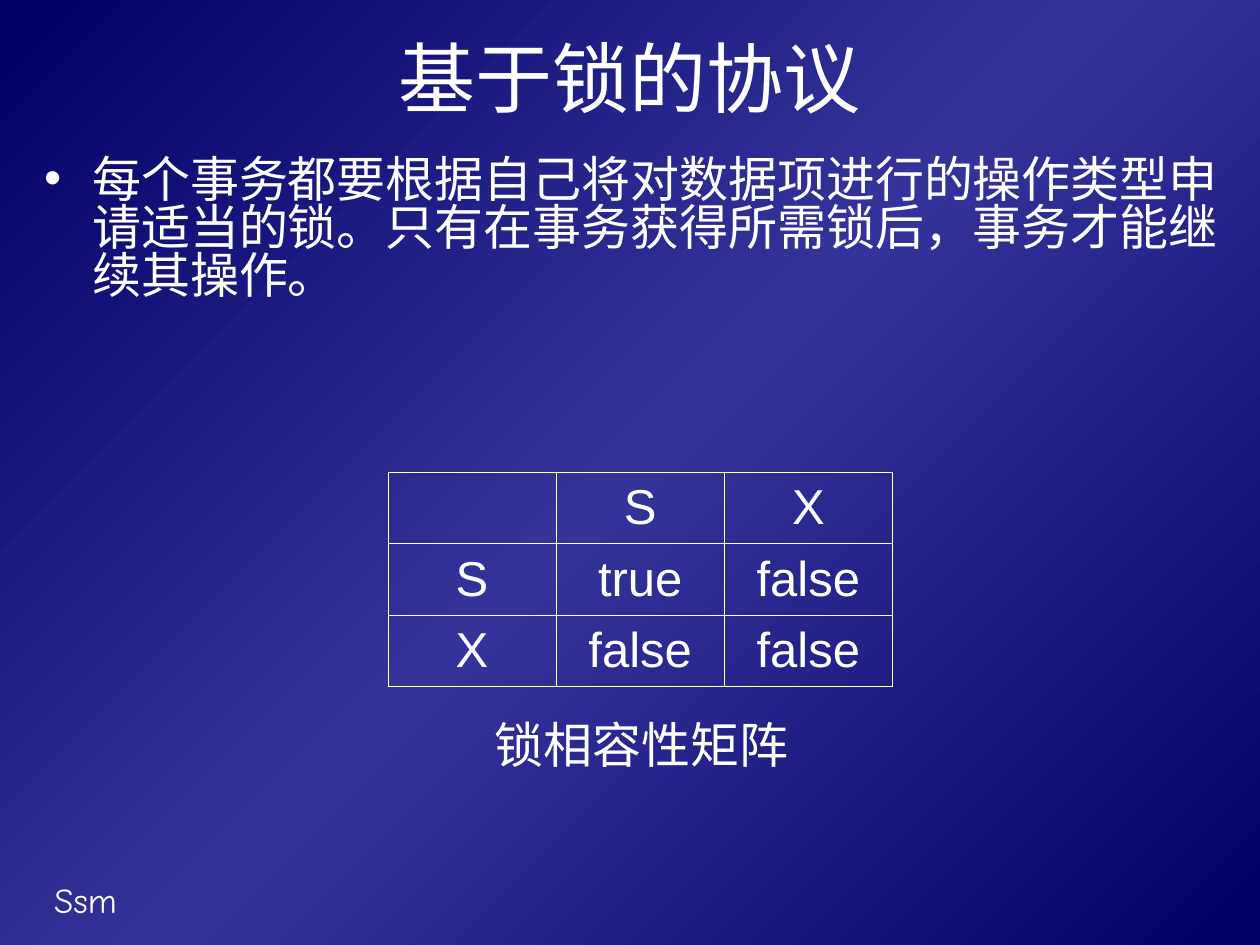
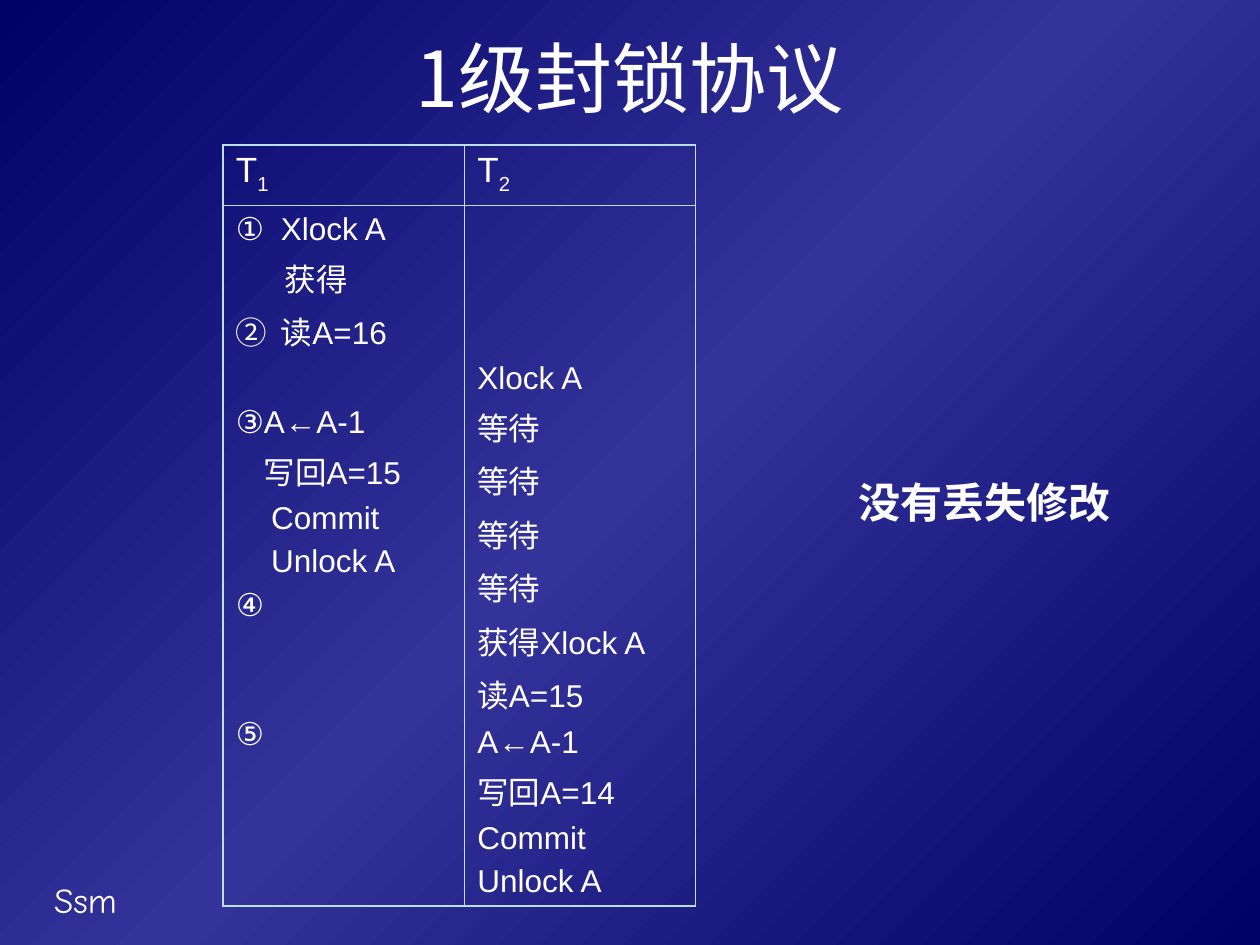
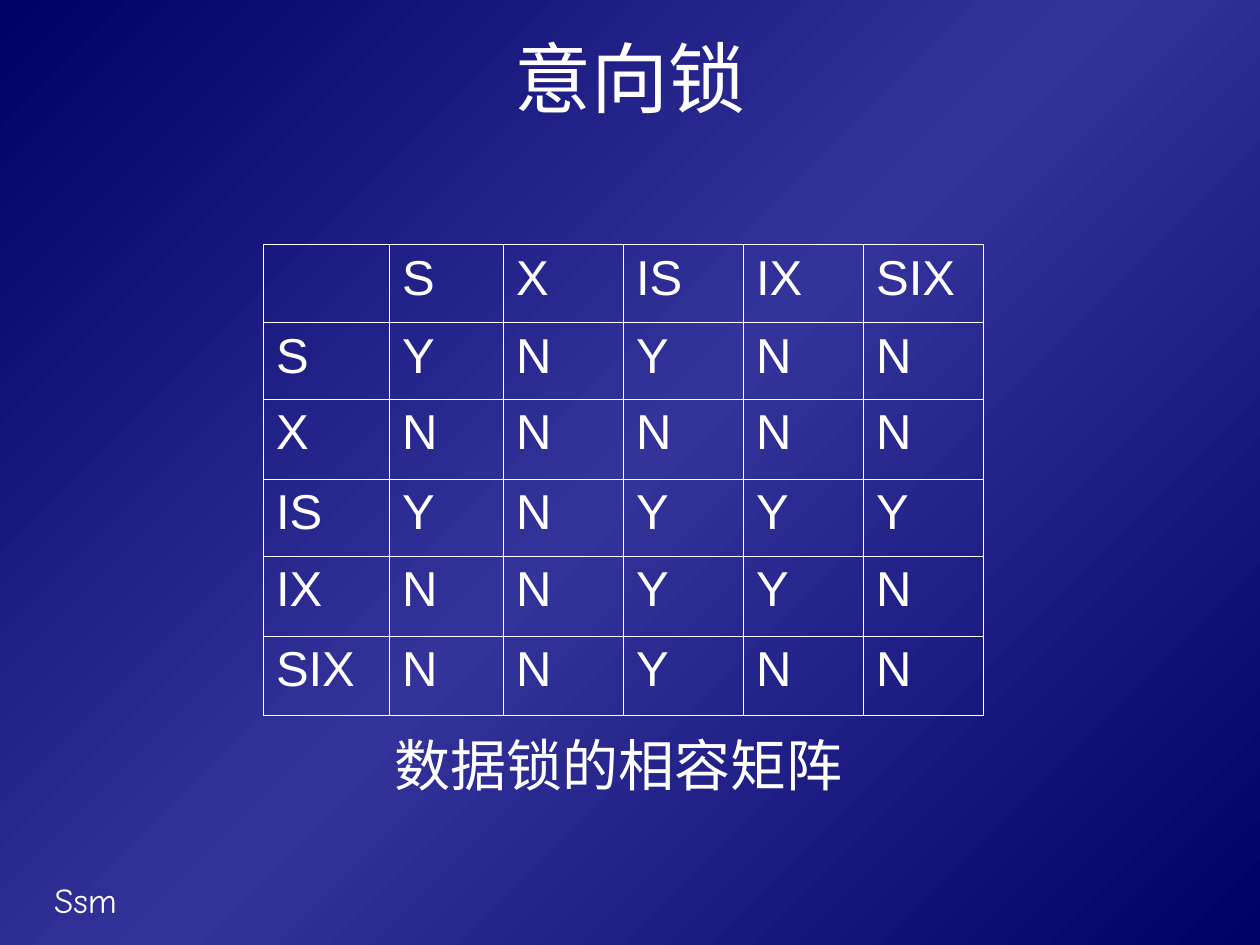
import copy

import pptx
import pptx.dml.color
import pptx.enum.text
import pptx.oxml
import pptx.oxml.ns
import pptx.util

Cm, Pt = pptx.util.Cm, pptx.util.Pt
qn = pptx.oxml.ns.qn
ALIGN = pptx.enum.text.PP_ALIGN
ANCHOR = pptx.enum.text.MSO_ANCHOR

COLORS = {"edge": "000066", "glow": "333399", "text": "FFFFFF", "rule": "BBE0E3"}
CJK = "Noto Sans CJK SC"


def rgb(name):
    return pptx.dml.color.RGBColor.from_string(COLORS[name])


def sub(parent, tag, **attrs):
    el = parent.makeelement(qn(tag), attrs)
    parent.append(el)
    return el


# Text helpers
def set_font(p, size, name="Arial", bold=False):
    p.font.size, p.font.name, p.font.bold = Pt(size), name, bold
    p.font.color.rgb = rgb("text")
    sub(p.font._element, "a:ea", typeface=CJK)


def set_indent(p, left, first=0):
    pPr = p._p.get_or_add_pPr()
    pPr.set("marL", str(Cm(left)))
    pPr.set("indent", str(Cm(first)))


def add_text(s, box, text, size, font, align=ALIGN.LEFT, anchor=ANCHOR.TOP,
             wrap=True, bold=False, top_inset=0.13, bullet=False):
    tf = s.shapes.add_textbox(*map(Cm, box)).text_frame
    tf.word_wrap, tf.vertical_anchor = wrap, anchor
    tf.margin_top = Cm(top_inset)
    p = tf.paragraphs[0]
    p.add_run().text = text
    p.alignment = align
    if bullet:
        set_indent(p, 0.97, -0.97)
        pPr = p._p.get_or_add_pPr()
        sub(sub(pPr, "a:buClr"), "a:srgbClr", val=COLORS["text"])
        sub(pPr, "a:buFont", typeface="Arial")
        sub(pPr, "a:buChar", char="•")
    set_font(p, size, font, bold)
    return p


# Table helpers
def set_borders(cell, color, widths):
    tcPr = cell._tc.get_or_add_tcPr()
    for i, (side, width) in enumerate(zip("LRTB", widths)):
        ln = tcPr.makeelement(qn("a:ln" + side), {"w": str(Pt(width))})
        sub(sub(ln, "a:solidFill"), "a:srgbClr", val=COLORS[color])
        tcPr.insert(i, ln)


def add_grid(s, left, top, col_widths, row_heights, color, outer=0.45, inner=0.45):
    n_rows, n_cols = len(row_heights), len(col_widths)
    table = s.shapes.add_table(n_rows, n_cols, Cm(left), Cm(top),
                               Cm(sum(col_widths)), Cm(sum(row_heights))).table
    table.first_row = table.horz_banding = False
    for col, width in zip(table.columns, col_widths):
        col.width = Cm(width)
    for row, height in zip(table.rows, row_heights):
        row.height = Cm(height)
    for i in range(n_rows):
        for j in range(n_cols):
            cell = table.cell(i, j)
            cell.fill.background()
            on_edge = (j == 0, j == n_cols - 1, i == 0, i == n_rows - 1)
            set_borders(cell, color, [outer if e else inner for e in on_edge])
    return table


# Shared look
def set_background(prs):
    fill = prs.slide_master.background.fill
    fill.gradient()
    fill.gradient_angle = 315
    stops = prs.slide_master.element.find(".//" + qn("a:gsLst"))
    stops.insert(1, copy.deepcopy(stops[0]))
    for stop, position, name in zip(fill.gradient_stops, (0, 0.5, 1), ("edge", "glow", "edge")):
        stop.position = position
        stop.color.rgb = rgb(name)


def new_slide(prs, title):
    s = prs.slides.add_slide(prs.slide_layouts[6])
    add_text(s, (0.84, 17.58, 5.28, 1.12), "Ssm", 20, "Comic Neue")
    add_text(s, (1.27, 0.43, 22.86, 2.21), title, 44, CJK, ALIGN.CENTER, ANCHOR.MIDDLE)
    return s


# Compatibility matrix with its caption below
def lock_matrix(s, left, top, col_widths, row_heights, rows, align, anchor):
    table = add_grid(s, left, top, col_widths, row_heights, "text")
    for i, row in enumerate(rows):
        for j, text in enumerate(row):
            cell = table.cell(i, j)
            cell.vertical_anchor = anchor
            p = cell.text_frame.paragraphs[0]
            if text:
                p.add_run().text = text
            p.alignment = align
            set_font(p, 28)


def matrix_caption(s, box, offset, size, font, text):
    left, top, width, height = box
    dx, dy = offset
    add_text(s, (left + dx, top + dy, width, height), text, size, font,
             wrap=False, top_inset=0)


# Schedule of two transactions: steps are (text, left indent, first-line indent, space before)
def fill_steps(cell, steps):
    tf = cell.text_frame
    for i, (text, left, first, before) in enumerate(steps):
        p = tf.paragraphs[0] if i == 0 else tf.add_paragraph()
        p.add_run().text = text
        set_indent(p, left, first)
        if i:
            p.space_before = Pt(before)
        set_font(p, 18)


def schedule(s, left, top, steps_1, steps_2):
    table = add_grid(s, left, top, (4.87, 4.65), (1.21, 14.13), "rule", outer=1.08)
    for j in range(2):
        p = table.cell(0, j).text_frame.paragraphs[0]
        p.add_run().text = "T"
        r = p.add_run()
        r.text = str(j + 1)
        r._r.get_or_add_rPr().set("baseline", "-25000")
        set_font(p, 20)
    fill_steps(table.cell(1, 0), steps_1)
    table.cell(1, 1).margin_top = Cm(3.13)
    fill_steps(table.cell(1, 1), steps_2)


def main():
    prs = pptx.Presentation()
    prs.slide_width, prs.slide_height = Cm(25.4), Cm(19.05)
    set_background(prs)

    # Lock-based protocol
    s = new_slide(prs, "基于锁的协议")
    p = add_text(s, (0.64, 2.97, 24.33, 14.6),
                 "每个事务都要根据自己将对数据项进行的操作类型申请适当的锁。"
                 "只有在事务获得所需锁后，事务才能继续其操作。",
                 28, CJK, top_inset=0.23, bullet=True)
    p.line_spacing = 0.82
    left, top = 7.82, 9.52
    lock_matrix(s, left, top, [3.39] * 3, [1.44] * 3,
                [("", "S", "X"), ("S", "true", "false"), ("X", "false", "false")],
                ALIGN.CENTER, ANCHOR.MIDDLE)
    matrix_caption(s, (left, top, 8.69, 1.45), (1.9, 4.88), 28, "Arial", "锁相容性矩阵")

    # Level 1 protocol
    s = new_slide(prs, "1级封锁协议")
    gap = 4.5
    steps_1 = [
        ("①\tXlock A", 0.91, -0.91, 0),
        ("获得", 0.99, 0, gap),
        ("②\t读A=16", 0.91, -0.91, gap),
        ("③A←A-1", 0, 0, 29),
        ("写回A=15", 0.56, 0, gap),
        ("Commit", 0.71, 0, gap),
        ("Unlock A", 0.71, 0, gap),
        ("④", 0, 0, gap),
        ("⑤", 0, 0, 54),
    ]
    waits = ["等待"] * 4
    steps_2 = [(text, 0, 0, gap) for text in
               ["Xlock A", *waits, "获得Xlock A", "读A=15", "A←A-1",
                "写回A=14", "Commit", "Unlock A"]]
    schedule(s, 4.5, 2.92, steps_1, steps_2)
    add_text(s, (16.26, 9.27, 7.19, 1.7), "没有丢失修改", 24, "Times New Roman",
             ALIGN.CENTER, ANCHOR.MIDDLE, wrap=False, bold=True)

    # Intention locks
    s = new_slide(prs, "意向锁")
    modes = ["S", "X", "IS", "IX", "SIX"]
    answers = ["YNYNN", "NNNNN", "YNYYY", "NNYYN", "NNYNN"]
    rows = [["", *modes]] + [[mode, *line] for mode, line in zip(modes, answers)]
    left, top = 5.31, 4.93
    lock_matrix(s, left, top, [2.54, 2.3] + [2.42] * 4,
                [1.57, 1.55, 1.61, 1.55, 1.61, 1.61], rows, ALIGN.LEFT, ANCHOR.TOP)
    matrix_caption(s, (left, top, 9.55, 1.63), (2.39, 9.8), 32, "Times New Roman",
                   "数据锁的相容矩阵")

    prs.save("out.pptx")


if __name__ == "__main__":
    main()
